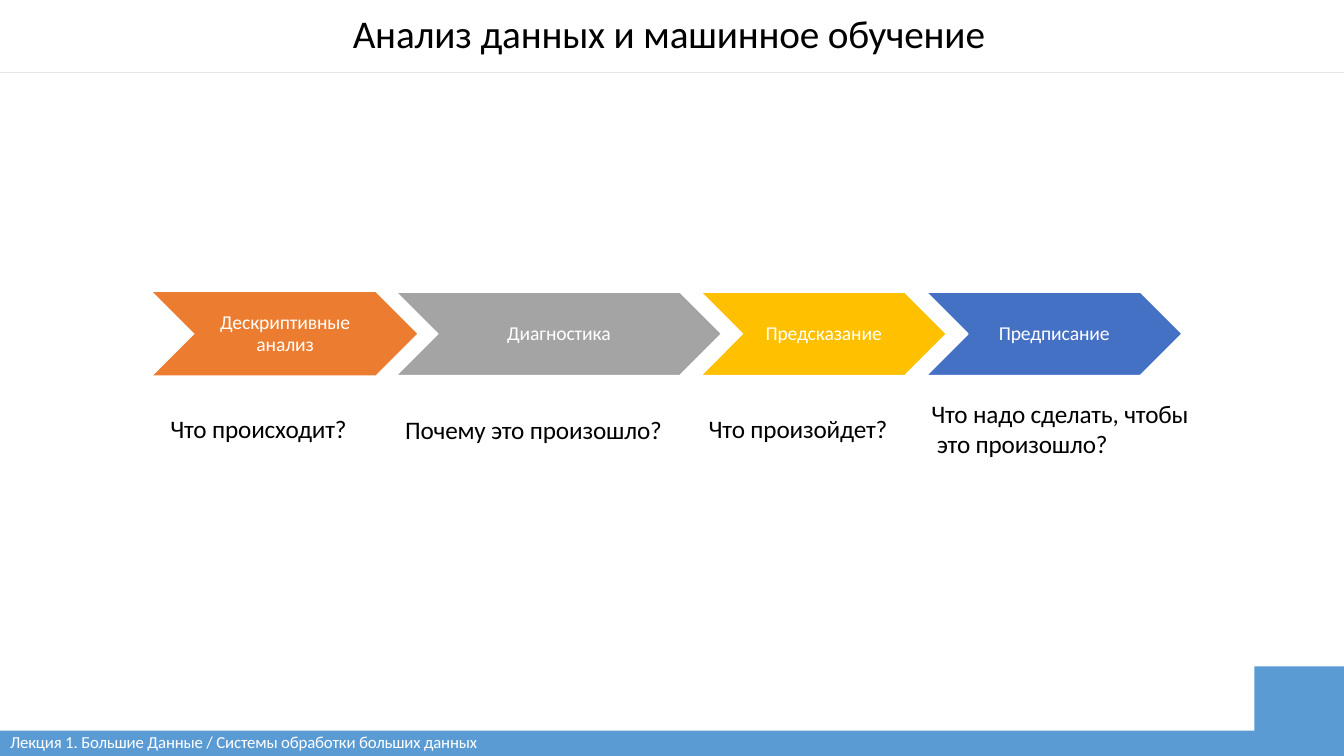
from dataclasses import dataclass
from typing import Optional

from lxml import etree
from pptx import Presentation
from pptx.dml.color import RGBColor
from pptx.enum.shapes import MSO_CONNECTOR, MSO_SHAPE
from pptx.enum.text import MSO_ANCHOR, PP_ALIGN
from pptx.oxml.ns import qn
from pptx.util import Pt

CHEVRON = MSO_SHAPE.CHEVRON
STRAIGHT = MSO_CONNECTOR.STRAIGHT
LEFT, CENTER = PP_ALIGN.LEFT, PP_ALIGN.CENTER
TOP, MIDDLE = MSO_ANCHOR.TOP, MSO_ANCHOR.MIDDLE

FONT = "Calibri"
BLACK, WHITE, BAND_BLUE, RULE_GREY = "000000", "FFFFFF", "5B9BD4", "E7E6E6"
SLIDE_W, SLIDE_H = 960, 540
STAGE_TOP, STAGE_H = 208.7, 59.5


@dataclass
class Stage:
    name: str
    left: float
    width: float
    fill: str
    outline: Optional[str]


@dataclass
class Label:
    text: str
    left: float
    top: float
    width: float
    height: float
    size: float
    color: str = BLACK


STAGES = [
    Stage("Дескриптивные\vанализ", 109.4, 188.6, "EC7C30", None),
    Stage("Диагностика", 283, 232.5, "A4A4A4", WHITE),
    Stage("Предсказание", 500.6, 175.5, "FFC000", WHITE),
    Stage("Предписание", 661.7, 182.7, "4471C4", WHITE),
]

LABELS = [
    Label("Анализ данных и машинное обучение", 252, 6.8, 457, 35, 28),
    Label("Лекция 1. Большие Данные / Системы обработки больших данных",
          7.2, 523, 343, 15, 12, WHITE),
    Label("Что происходит?", 121.7, 295, 130, 23, 18),
    Label("Почему это произошло?", 289.4, 296, 188, 23, 18),
    Label("Что произойдет?", 506.2, 295, 132, 23, 18),
    Label("Что надо сделать, чтобы\v это произошло?", 665.3, 284.7, 189, 45, 18),
]


def rgb(color: str) -> RGBColor:
    return RGBColor.from_string(color)


def paint(sp, fill: str, outline: Optional[str] = None) -> None:
    sp.shadow.inherit = False
    sp.fill.solid()
    sp.fill.fore_color.rgb = rgb(fill)
    if outline:
        sp.line.color.rgb = rgb(outline)
        sp.line.width = Pt(1)
    else:
        sp.line.fill.background()


def write(sp, text: str, size: float, color: str, align, anchor) -> None:
    tf = sp.text_frame
    tf.margin_left = tf.margin_right = tf.margin_top = tf.margin_bottom = 0
    tf.word_wrap = False
    tf.vertical_anchor = anchor
    tf.text = text
    p = tf.paragraphs[0]
    p.alignment = align
    for r in p.runs:
        r.font.name = FONT
        r.font.size = Pt(size)
        r.font.color.rgb = rgb(color)
        r.font._element.set("spc", "-10")


def add_footer_band(s) -> None:
    tab_left, tab_top, band_top = 895.7, 475.5, 522
    fb = s.shapes.build_freeform(SLIDE_W, tab_top, scale=float(Pt(1)))
    fb.add_line_segments([(tab_left, tab_top), (tab_left, band_top), (0, band_top),
                          (0, SLIDE_H), (SLIDE_W, SLIDE_H)], close=True)
    paint(fb.convert_to_shape(), BAND_BLUE)


def add_title_rule(s) -> None:
    y = Pt(51.8)
    rule = s.shapes.add_connector(STRAIGHT, 0, y, Pt(SLIDE_W), y)
    rule.line.color.rgb = rgb(RULE_GREY)
    rule.line.width = Pt(0.5)
    etree.SubElement(rule._element.spPr, qn("a:effectLst"))


def add_stage(s, stage: Stage) -> None:
    sp = s.shapes.add_shape(CHEVRON, Pt(stage.left), Pt(STAGE_TOP),
                            Pt(stage.width), Pt(STAGE_H))
    paint(sp, stage.fill, stage.outline)
    write(sp, stage.name, 14, WHITE, CENTER, MIDDLE)
    sp.text_frame.paragraphs[0].line_spacing = Pt(15.4)


def add_label(s, label: Label) -> None:
    sp = s.shapes.add_textbox(Pt(label.left), Pt(label.top),
                              Pt(label.width), Pt(label.height))
    write(sp, label.text, label.size, label.color, LEFT, TOP)


def main() -> None:
    prs = Presentation()
    prs.slide_width, prs.slide_height = Pt(SLIDE_W), Pt(SLIDE_H)
    s = prs.slides.add_slide(prs.slide_layouts[6])
    add_footer_band(s)
    add_title_rule(s)
    for stage in STAGES:
        add_stage(s, stage)
    for label in LABELS:
        add_label(s, label)
    prs.save("out.pptx")


if __name__ == "__main__":
    main()
